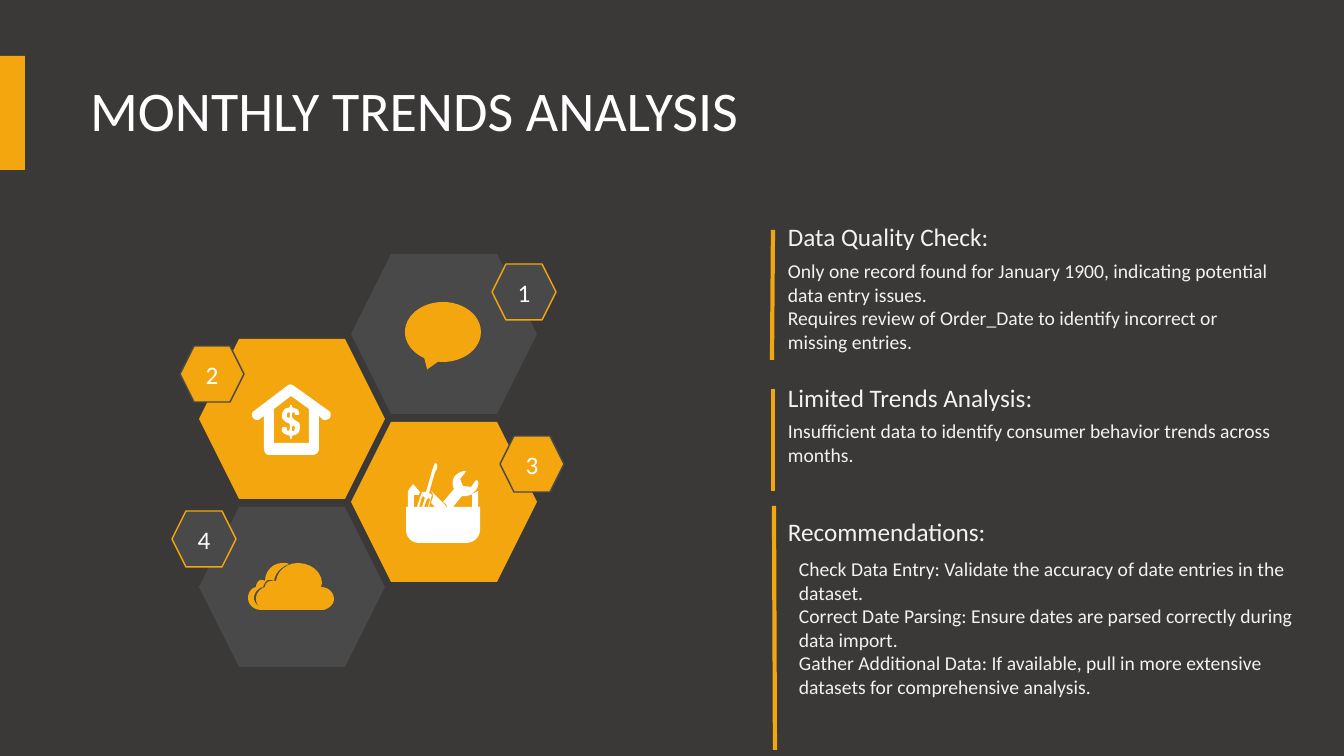
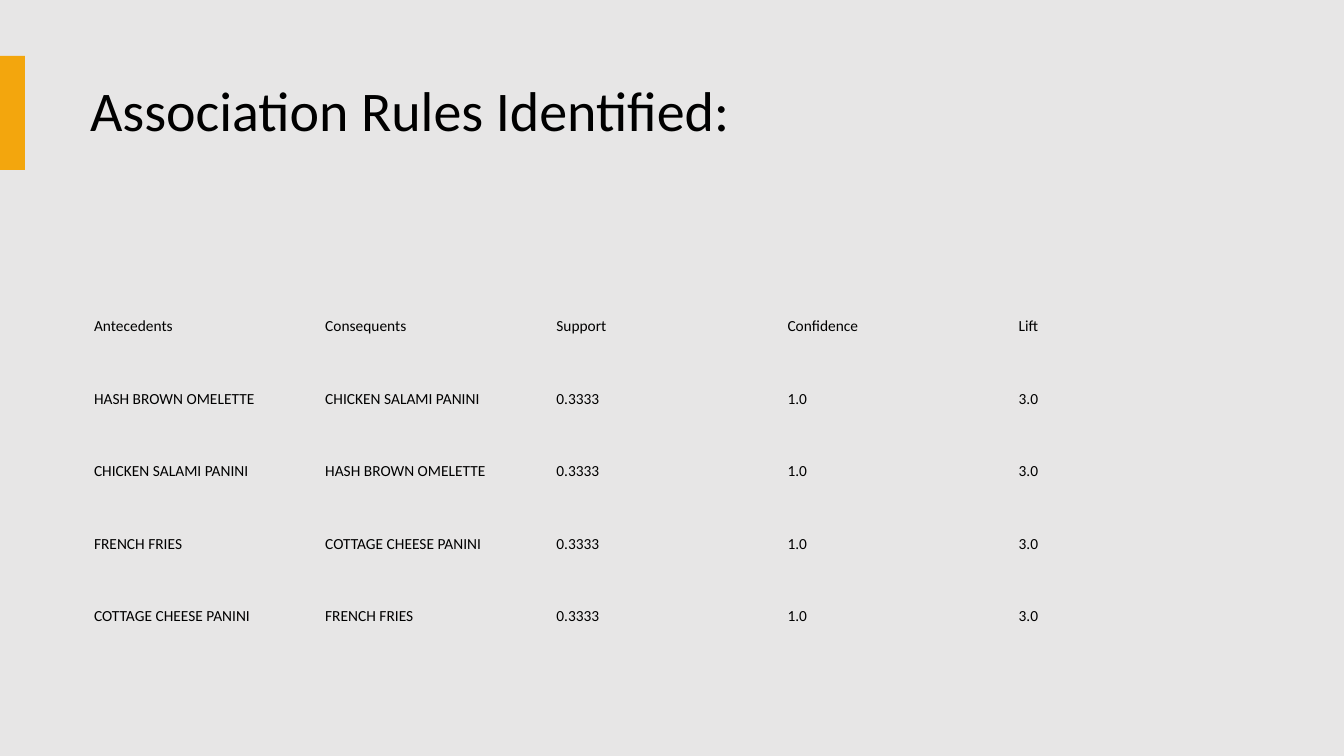
import pptx
import pptx.util
import pptx.dml.color
import pptx.enum.shapes
import pptx.enum.text
import pptx.oxml.ns
import lxml.etree

RGB = pptx.dml.color.RGBColor
KIND = pptx.enum.shapes.MSO_SHAPE
ALIGN = pptx.enum.text.PP_ALIGN
ANCHOR = pptx.enum.text.MSO_ANCHOR

DARK = RGB(0x3B, 0x38, 0x38)
LIGHT = RGB(0xE7, 0xE6, 0xE6)
AMBER = RGB(0xF3, 0xA6, 0x0D)
GREY = RGB(0x49, 0x49, 0x49)
WHITE = RGB(0xFF, 0xFF, 0xFF)
PALE = RGB(0xF2, 0xF2, 0xF2)
BLACK = RGB(0x00, 0x00, 0x00)
FONT = "Calibri"
WIDE, HIGH = 1344, 756
SCALE = 12192000 / WIDE
PLAIN = "{2D5ABB26-0587-4C30-8999-92F81FD0307C}"

CLOUD = [[
    (34, 0), (37, 0, 39, 0, 41, 1), (33, 4, 27, 10, 26, 18),
    (25, 17, 24, 17, 22, 17), (20, 17), (18, 18, 16, 21, 15, 24),
    (10, 25, 6, 30, 6, 35), (6, 39, 9, 43, 14, 45),
    (10, 43, 8, 40, 8, 36), (8, 31, 11, 26, 17, 24),
    (17, 21, 19, 19, 22, 18), (28, 18), (29, 8, 39, 0, 50, 0),
    (63, 0, 74, 9, 74, 20), (74, 21, 73, 23, 73, 24),
    (81, 24, 86, 30, 86, 36), (86, 41, 82, 45, 76, 47), (13, 47),
    (6, 47, 0, 42, 0, 35), (0, 30, 3, 25, 8, 24),
    (8, 21, 10, 18, 12, 17), (13, 17, 16, 17, 17, 18),
    (17, 8, 25, 0, 34, 0),
]]
HOUSE = [
    [(9, 35), (13, 32), (13, 65), (13, 68, 15, 71, 18, 71), (62, 71),
     (65, 71, 68, 68, 68, 65), (68, 32), (71, 35),
     (72, 36, 73, 36, 74, 36), (76, 36, 78, 35, 79, 34),
     (80, 31, 80, 28, 78, 27), (43, 2), (41, 0, 38, 0, 36, 2), (3, 27),
     (1, 28, 0, 31, 2, 34), (4, 36, 7, 37, 9, 35)],
    [(40, 12), (58, 25), (58, 59), (23, 59), (23, 25)],
]
DOLLAR = [
    [(7, 26), (6, 25), (6, 23), (5, 22, 4, 22, 3, 22),
     (2, 22, 0, 23, 1, 25), (1, 27, 2, 28, 4, 29), (6, 30),
     (8, 30, 9, 31, 9, 32), (9, 34, 9, 34, 10, 34),
     (10, 34, 11, 34, 11, 32), (11, 31, 12, 30, 14, 30), (16, 29),
     (18, 28, 19, 25, 19, 22), (19, 20, 19, 18, 17, 17), (14, 15),
     (12, 14, 11, 12, 11, 11), (11, 8, 12, 7, 12, 7), (14, 8),
     (14, 10), (16, 10), (18, 10, 19, 9, 18, 8), (18, 6, 17, 5, 16, 4),
     (13, 3), (12, 3, 11, 2, 11, 1), (11, 0, 10, 0, 10, 0),
     (9, 0, 9, 0, 9, 1), (9, 2, 8, 3, 7, 3), (6, 3),
     (5, 3, 4, 4, 3, 5), (1, 8, 1, 10, 1, 10), (1, 13),
     (2, 14, 3, 16, 5, 17), (7, 18), (8, 18, 9, 19, 9, 21),
     (9, 25, 8, 26, 7, 26)],
    [(11, 22), (12, 20), (14, 22), (14, 24), (13, 26), (11, 26)],
    [(8, 13), (6, 12), (6, 10), (7, 7), (9, 8), (9, 12)],
]
TOOLS = [
    [(72, 44), (72, 28), (65, 32), (66, 32), (66, 44), (47, 44), (56, 33),
     (61, 34, 66, 32, 69, 28), (72, 25, 73, 21, 72, 18), (70, 17),
     (65, 24), (57, 23), (54, 16), (59, 10), (60, 8),
     (55, 8, 52, 10, 49, 13), (46, 16, 46, 22, 48, 26), (37, 39),
     (40, 41), (41, 44), (40, 44), (39, 42), (25, 28), (27, 31),
     (27, 34), (25, 40), (29, 44), (23, 44), (25, 35), (26, 32),
     (23, 30), (29, 9), (31, 6), (31, 1), (29, 0), (27, 5), (26, 8),
     (20, 29), (16, 29), (15, 32), (11, 44), (8, 44), (8, 32), (13, 32),
     (14, 29), (7, 21), (2, 28), (2, 44), (0, 44), (0, 67),
     (0, 74, 5, 80, 13, 80), (60, 80), (68, 80, 74, 74, 74, 67), (74, 44)],
    [(21, 36), (23, 35), (24, 37), (22, 44), (18, 44)],
    [(16, 34), (17, 33), (19, 35), (16, 44), (13, 44)],
]
NOTES = [
    (216, 40, (773, 230, 772, 360), (778, 254, 513, 105),
     "Data Quality Check:",
     "Only one record found for January 1900, indicating potential data entry issues.\n"
     "Requires review of Order_Date to identify incorrect or missing entries."),
    (377, 40, (773, 389, 773, 491), (778, 414, 513, 57),
     "Limited Trends Analysis:",
     "Insufficient data to identify consumer behavior trends across months."),
    (511, 40, (774, 506, 775, 750), (789, 552, 517, 198),
     "Recommendations:",
     "Check Data Entry: Validate the accuracy of date entries in the dataset.\n"
     "Correct Date Parsing: Ensure dates are parsed correctly during data import.\n"
     "Gather Additional Data: If available, pull in more extensive datasets for comprehensive analysis."),
]
HASH, SALAMI = "HASH BROWN OMELETTE", "CHICKEN SALAMI PANINI"
FRIES, CHEESE = "FRENCH FRIES", "COTTAGE CHEESE PANINI"
PAIRS = [(HASH, SALAMI), (SALAMI, HASH), (FRIES, CHEESE), (CHEESE, FRIES)]
RULES = [("Antecedents", "Consequents", "Support", "Confidence", "Lift")]
RULES += [pair + ("0.3333", "1.0", "3.0") for pair in PAIRS]


def px(*vals):
    return [pptx.util.Emu(round(val * SCALE)) for val in vals]


def write(frame, text, size=14, color=PALE, align=ALIGN.LEFT, anchor=ANCHOR.TOP, space=None):
    frame.word_wrap = True
    frame.vertical_anchor = anchor
    for num, line in enumerate(text.split("\n")):
        para = frame.add_paragraph() if num else frame.paragraphs[0]
        para.alignment = align
        if space:
            para.line_spacing = space
        run = para.add_run()
        run.text = line
        run.font.name = FONT
        run.font.size = pptx.util.Pt(size)
        run.font.color.rgb = color


def paint(shape, fill, edge=None):
    shape.shadow.inherit = False
    shape.fill.solid()
    shape.fill.fore_color.rgb = fill
    if edge is None:
        shape.line.fill.background()
    else:
        shape.line.color.rgb = edge
        shape.line.width = pptx.util.Pt(1)
    return shape


def block(slide, kind, box, fill, edge=None):
    return paint(slide.shapes.add_shape(kind, *px(*box)), fill, edge)


def trace(points, steps=6):
    out = [points[0]]
    for item in points[1:]:
        if len(item) == 2:
            out.append(item)
            continue
        knots = [out[-1], item[:2], item[2:4], item[4:]]
        for num in range(1, steps + 1):
            t = num / steps
            mix = ((1 - t) ** 3, 3 * t * (1 - t) ** 2, 3 * t * t * (1 - t), t ** 3)
            out.append(tuple(sum(m * k[axis] for m, k in zip(mix, knots)) for axis in (0, 1)))
    return out


def icon(slide, left, top, loops, fill):
    pen = None
    for loop in loops:
        dots = [px(left + x, top + y) for x, y in trace(loop)]
        if pen is None:
            pen = slide.shapes.build_freeform(*dots[0])
        else:
            pen.move_to(*dots[0])
        pen.add_line_segments(dots[1:], close=True)
    paint(pen.convert_to_shape(), fill)


def rule(slide, ends):
    line = slide.shapes.add_connector(pptx.enum.shapes.MSO_CONNECTOR.STRAIGHT, *px(*ends))
    line.line.color.rgb = AMBER
    line.line.width = pptx.util.Pt(3)
    lxml.etree.SubElement(line._element.spPr, pptx.oxml.ns.qn("a:effectLst"))


def start(deck, text, back, color):
    slide = deck.slides.add_slide(deck.slide_layouts[5])
    slide.background.fill.solid()
    slide.background.fill.fore_color.rgb = back
    block(slide, KIND.RECTANGLE, (-1, 56, 26, 114), AMBER)
    title = slide.shapes.title
    title.left, title.top, title.width, title.height = px(80, 40, 1172, 146)
    write(title.text_frame, text, size=40, color=color, anchor=ANCHOR.MIDDLE, space=0.9)
    return slide


def comb(slide, left, top):
    cells = [(152, 168, AMBER), (152, 0, GREY), (0, 253, GREY), (0, 85, AMBER)]
    for x, y, fill in cells:
        block(slide, KIND.HEXAGON, (left + x, top + y, 186, 160), fill)
    icon(slide, left + 49, top + 309, CLOUD, AMBER)
    icon(slide, left + 207, top + 209, TOOLS, WHITE)
    icon(slide, left + 52, top + 130, HOUSE, WHITE)
    icon(slide, left + 82, top + 151, DOLLAR, WHITE)
    block(slide, KIND.OVAL_CALLOUT, (left + 206, top + 48, 76, 60), AMBER)
    tags = [("1", 293, 10, GREY, AMBER), ("4", -27, 257, GREY, AMBER),
            ("3", 301, 182, AMBER, GREY), ("2", -19, 92, AMBER, GREY)]
    for text, x, y, fill, edge in tags:
        tag = block(slide, KIND.HEXAGON, (left + x, top + y, 64, 56), fill, edge)
        write(tag.text_frame, text, size=18, color=WHITE, align=ALIGN.CENTER, anchor=ANCHOR.MIDDLE)


def note(slide, top, high, ends, box, head, body):
    label = slide.shapes.add_textbox(*px(778, top, 292, high))
    write(label.text_frame, head, size=18)
    write(slide.shapes.add_textbox(*px(*box)).text_frame, body)
    rule(slide, ends)


def grid(slide, box, rows):
    table = slide.shapes.add_table(len(rows), len(rows[0]), *px(*box)).table
    table.first_row = table.horz_banding = False
    table._tbl.tblPr.find(pptx.oxml.ns.qn("a:tableStyleId")).text = PLAIN
    for r, row in enumerate(rows):
        for c, text in enumerate(row):
            cell = table.cell(r, c)
            cell.fill.background()
            cell.margin_left = cell.margin_right = cell.margin_top = cell.margin_bottom = 0
            cell.vertical_anchor = ANCHOR.MIDDLE
            write(cell.text_frame, text, size=11, color=BLACK)


def trends(deck):
    slide = start(deck, "MONTHLY TRENDS ANALYSIS", DARK, WHITE)
    for item in NOTES:
        note(slide, *item)
    comb(slide, 199, 254)


def assoc(deck):
    slide = start(deck, "Association Rules Identified:", LIGHT, BLACK)
    grid(slide, (94, 290, 1156, 363), RULES)


def main():
    deck = pptx.Presentation()
    deck.slide_width, deck.slide_height = px(WIDE, HIGH)
    trends(deck)
    assoc(deck)
    deck.save("out.pptx")


if __name__ == "__main__":
    main()
